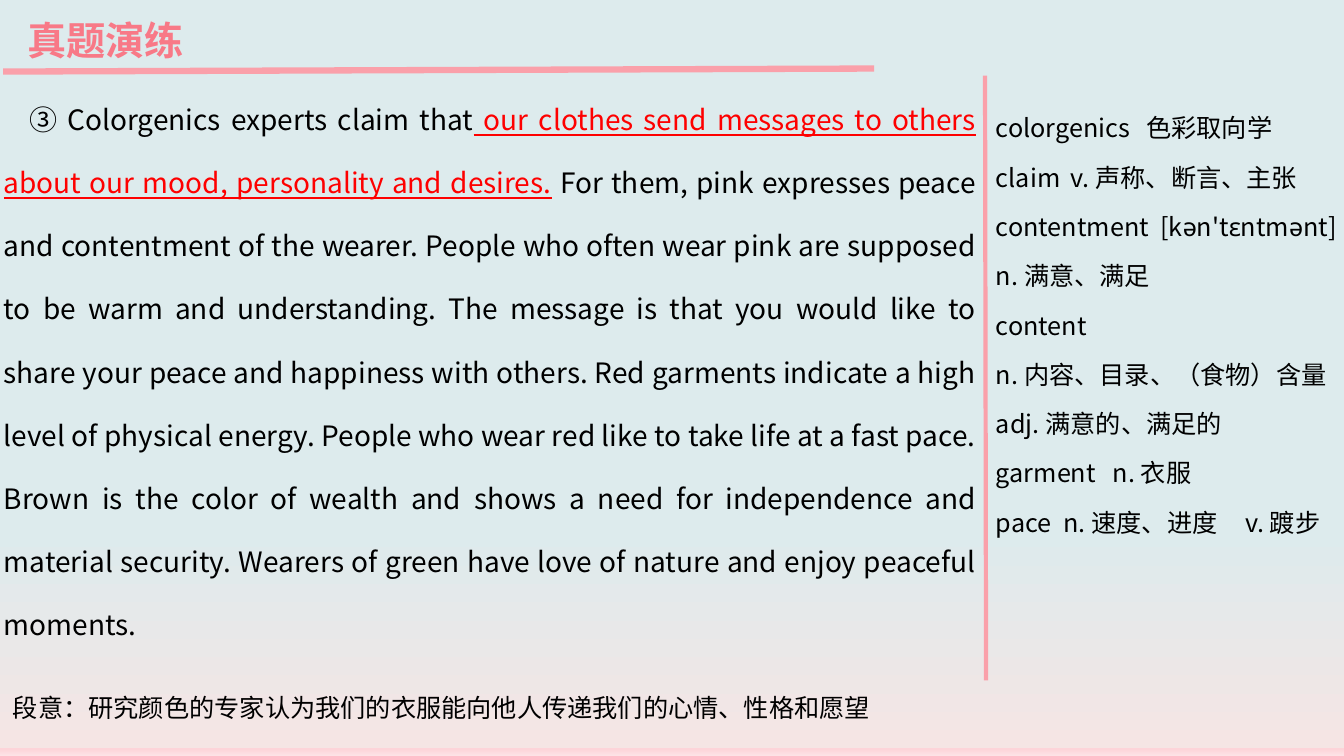
"""Build the reading-practice slide with its passage, vocabulary and summary."""
from lxml.etree import SubElement
from pptx import Presentation
from pptx.dml.color import RGBColor
from pptx.enum.shapes import MSO_CONNECTOR
from pptx.enum.text import MSO_AUTO_SIZE, PP_ALIGN
from pptx.oxml.ns import qn
from pptx.util import Emu, Pt

PX = 9144
COLORS = {
    "text": "000000",
    "key": "FE0000",
    "title": "F87987",
    "rule": "FAA0AA",
}
BACKGROUND_STOPS = [(70, "DDEBED"), (99, "F5E5E4"), (99, "FDD4D9"), (100, "FDE3E6")]
TITLE = "真题演练"
PASSAGE = [
    ("③ Colorgenics experts claim that", {}),
    (" our clothes send messages to others about our mood, personality and desires.",
     {"color": "key", "underline": True}),
    (" For them, pink expresses peace and contentment of the wearer. "
     "People who often wear pink are supposed to be warm and understanding. "
     "The message is that you would like to share your peace and happiness with others. "
     "Red garments indicate a high level of physical energy. "
     "People who wear red like to take life at a fast pace. "
     "Brown is the color of wealth and shows a need for independence and material security. "
     "Wearers of green have love of nature and enjoy peaceful moments.", {}),
]
VOCABULARY = [
    ("colorgenics\t色彩取向学", [149]),
    ("claim\tv. 声称、断言、主张", [74]),
    ("contentment\t[kən'tɛntmənt]", [163]),
    ("n. 满意、满足", []),
    ("content", []),
    ("n. 内容、目录、（食物）含量", []),
    ("adj. 满意的、满足的", []),
    ("garment\tn. 衣服", [116]),
    ("pace\tn. 速度、进度\tv. 踱步", [67, 247]),
]
SUMMARY = "段意：研究颜色的专家认为我们的衣服能向他人传递我们的心情、性格和愿望"


class SlideBuilder:
    """Hold the font and the current slide, and add styled elements to it."""

    def __init__(self, slide, font_name):
        self.slide = slide
        self.font_name = font_name

    def background(self, stops):
        """Fill the background with a gradient from top to bottom."""
        fill = self.slide.background.fill
        fill.gradient()
        fill.gradient_angle = 270
        stop_list = next(self.slide.element.iter(qn("a:gsLst")))
        for stop in list(stop_list):
            stop_list.remove(stop)
        for percent, color in stops:
            stop = SubElement(stop_list, qn("a:gs"), pos=str(percent * 1000))
            SubElement(stop, qn("a:srgbClr"), val=color)

    def line(self, start, end, width):
        """Draw a straight rule between two points."""
        connector = self.slide.shapes.add_connector(
            MSO_CONNECTOR.STRAIGHT, *[Emu(value * PX) for value in (*start, *end)])
        connector.line.color.rgb = RGBColor.from_string(COLORS["rule"])
        connector.line.width = Pt(width)
        SubElement(connector.element.spPr, qn("a:effectLst"))

    def run(self, paragraph, text, size=18, color="text", bold=False, underline=False):
        """Append one formatted run."""
        run = paragraph.add_run()
        run.text = text
        font = run.font
        font.size = Pt(size)
        font.bold = bold
        font.underline = underline
        font.color.rgb = RGBColor.from_string(COLORS[color])
        font.name = self.font_name
        SubElement(run._r.get_or_add_rPr(), qn("a:ea"), typeface=self.font_name)

    def text(self, box, paragraphs, spacing=None, align=PP_ALIGN.LEFT, indent=0, **style):
        """Add a text box from paragraphs of (runs, tab stops)."""
        shape = self.slide.shapes.add_textbox(*[Emu(value * PX) for value in box])
        frame = shape.text_frame
        frame.word_wrap = True
        frame.auto_size = MSO_AUTO_SIZE.SHAPE_TO_FIT_TEXT
        for index, (runs, tabs) in enumerate(paragraphs):
            paragraph = frame.add_paragraph() if index else frame.paragraphs[0]
            properties = paragraph._p.get_or_add_pPr()
            if indent:
                properties.set("indent", str(indent * PX))
            if tabs:
                tab_list = SubElement(properties, qn("a:tabLst"))
                for position in tabs:
                    SubElement(tab_list, qn("a:tab"), pos=str(position * PX), algn="l")
            paragraph.alignment = align
            if spacing:
                paragraph.line_spacing = Pt(spacing)
            for content, override in runs:
                self.run(paragraph, content, **{**style, **override})


def main():
    """Build and save the slide."""
    presentation = Presentation()
    presentation.slide_width = Emu(1333 * PX)
    presentation.slide_height = Emu(750 * PX)
    slide = presentation.slides.add_slide(presentation.slide_layouts[6])
    builder = SlideBuilder(slide, "Noto Sans CJK SC")

    builder.background(BACKGROUND_STOPS)
    builder.line((977, 75), (978, 675), 3)
    builder.text((-6, 68, 984, 578), [(PASSAGE, [])], spacing=45,
                 align=PP_ALIGN.JUSTIFY, indent=25, size=20)
    builder.text((978, 88, 422, 504),
                 [([(entry, {})], tabs) for entry, tabs in VOCABULARY], spacing=35.2)
    builder.text((3, 656, 979, 66), [([(SUMMARY, {})], [])], spacing=40)
    builder.line((3, 71), (867, 68), 4.5)
    builder.text((17, 11, 836, 57), [([(TITLE, {})], [])],
                 size=28, color="title", bold=True)
    presentation.save("out.pptx")


if __name__ == "__main__":
    main()
